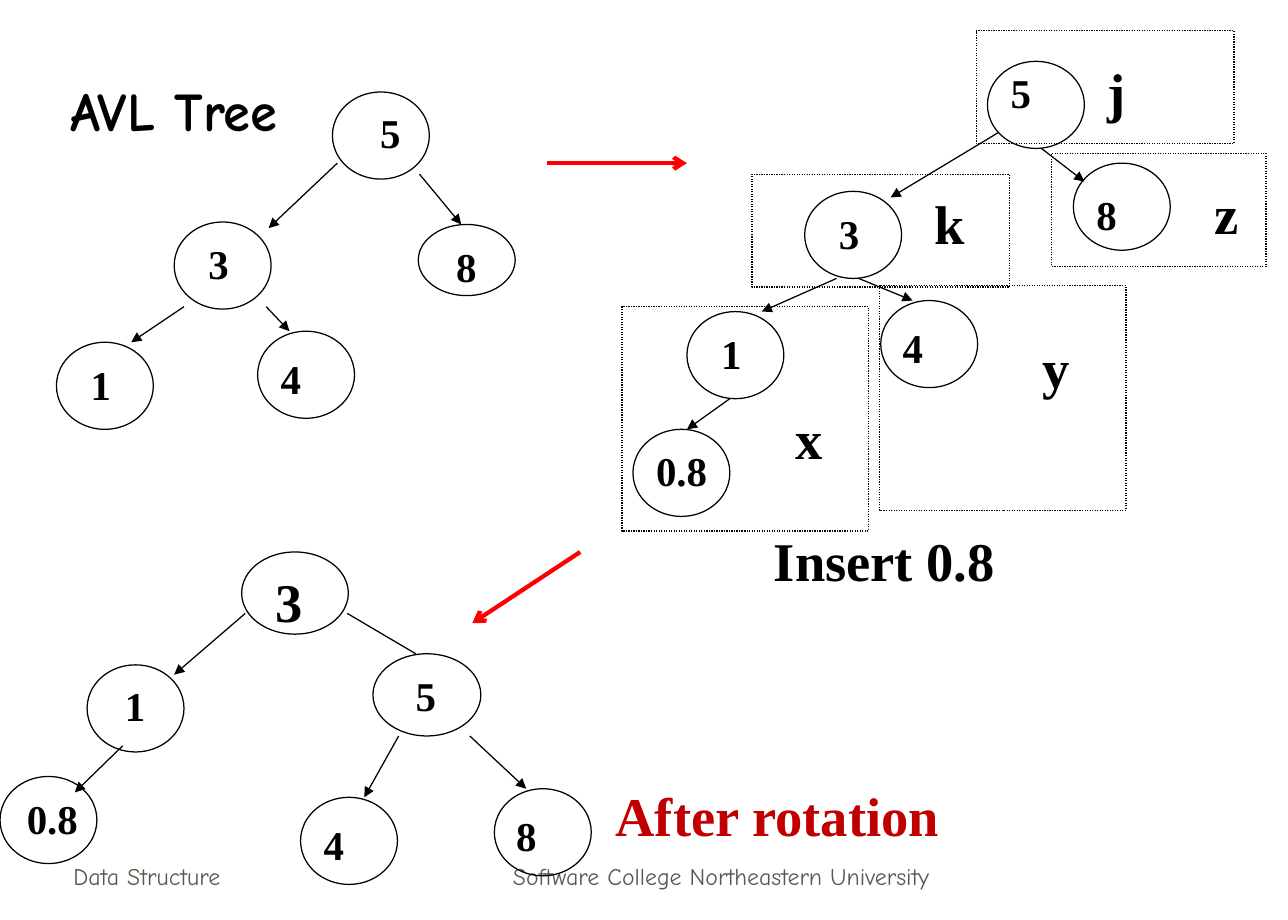
from dataclasses import dataclass

from lxml import etree
from pptx import Presentation
from pptx.dml.color import RGBColor
from pptx.enum.dml import MSO_LINE
from pptx.enum.shapes import MSO_CONNECTOR, MSO_SHAPE
from pptx.enum.text import MSO_ANCHOR, MSO_AUTO_SIZE, PP_ALIGN
from pptx.oxml.ns import qn
from pptx.util import Inches, Pt

ELLIPSE, RECTANGLE = MSO_SHAPE.OVAL, MSO_SHAPE.RECTANGLE
STRAIGHT = MSO_CONNECTOR.STRAIGHT
DOTTED = MSO_LINE.ROUND_DOT
LEFT, CENTER = PP_ALIGN.LEFT, PP_ALIGN.CENTER
TOP, BOTTOM = MSO_ANCHOR.TOP, MSO_ANCHOR.BOTTOM
GROW, FIXED = MSO_AUTO_SIZE.SHAPE_TO_FIT_TEXT, MSO_AUTO_SIZE.NONE


@dataclass(frozen=True)
class Theme:
    ink: str = "000000"
    muted: str = "5E574E"
    accent: str = "C00000"
    step: str = "FF0000"
    serif: str = "Times New Roman"
    casual: str = "Comic Neue"
    large: int = 32
    medium: int = 24
    small: int = 14
    thin: float = 0.75
    thick: float = 2.5


class TreeSlide:
    def __init__(self, deck, theme):
        self.theme = theme
        self.page = deck.slides.add_slide(deck.slide_layouts[6])

    def text(self, words, left, top, width, size, font=None, color=None, bold=True):
        """A one-line text that grows with its type."""
        height = 0.64 if size == self.theme.large else 0.5
        box = self.page.shapes.add_textbox(
            Inches(left), Inches(top), Inches(width), Inches(height))
        frame = box.text_frame
        frame.word_wrap = True
        frame.auto_size = GROW
        frame.vertical_anchor = TOP
        para = frame.paragraphs[0]
        para.text = words
        para.alignment = LEFT
        para.font.name = font or self.theme.serif
        para.font.size = Pt(size)
        para.font.bold = bold
        para.font.color.rgb = RGBColor.from_string(color or self.theme.ink)
        return frame

    def footer(self, words, left, width, alignment):
        frame = self.text(words, left, 6.81, width, self.theme.small,
                          self.theme.casual, self.theme.muted, bold=False)
        frame.auto_size = FIXED
        frame.vertical_anchor = BOTTOM
        frame.paragraphs[0].alignment = alignment

    def outline(self, kind, left, top, width, height):
        shape = self.page.shapes.add_shape(
            kind, Inches(left), Inches(top), Inches(width), Inches(height))
        shape.shadow.inherit = False
        shape.fill.background()
        shape.line.color.rgb = RGBColor.from_string(self.theme.ink)
        shape.line.width = Pt(self.theme.thin)
        return shape

    def node(self, label, left, top, label_left, label_top,
             width=0.79, height=0.71, size=None):
        self.outline(ELLIPSE, left, top, width, height)
        self.text(label, label_left, label_top, 1, size or self.theme.medium)

    def subtree(self, name, left, top, width, height, name_left, name_top):
        frame = self.outline(RECTANGLE, left, top, width, height)
        frame.line.dash_style = DOTTED
        self.text(name, name_left, name_top, 0.7, self.theme.large)

    def line(self, x1, y1, x2, y2, head="triangle", color=None, weight=None):
        link = self.page.shapes.add_connector(
            STRAIGHT, Inches(x1), Inches(y1), Inches(x2), Inches(y2))
        link.line.color.rgb = RGBColor.from_string(color or self.theme.ink)
        link.line.width = Pt(weight or self.theme.thin)
        if head:
            stroke = link.line._get_or_add_ln()
            etree.SubElement(stroke, qn("a:tailEnd"), type=head)
        etree.SubElement(link._element.spPr, qn("a:effectLst"))

    def step(self, x1, y1, x2, y2):
        self.line(x1, y1, x2, y2, "arrow", self.theme.step, self.theme.thick)


# Nodes: label, ellipse left and top, label left and top
START_NODES = [
    ("5", 2.71, 0.75, 3, 0.83),
    ("3", 1.42, 1.81, 1.6, 1.9),
    ("1", 0.46, 2.79, 0.64, 2.88),
    ("4", 2.1, 2.7, 2.19, 2.83),
    ("8", 3.41, 1.83, 3.62, 1.92, 0.79, 0.58),
]
INSERTED_NODES = [
    ("5", 8.05, 0.5, 8.14, 0.5),
    ("3", 6.56, 1.56, 6.74, 1.65),
    ("1", 5.6, 2.54, 5.78, 2.63),
    ("4", 7.18, 2.45, 7.26, 2.58),
    ("8", 8.75, 1.33, 8.84, 1.5),
    ("0.8", 5.16, 3.5, 5.25, 3.58),
]
ROTATED_NODES = [
    ("3", 1.97, 4.5, 2.15, 4.58, 0.87, 0.67, Theme.large),
    ("5", 3.04, 5.33, 3.29, 5.42, 0.88, 0.67),
    ("1", 0.71, 5.42, 0.92, 5.5),
    ("0.8", 0, 6.33, 0.12, 6.42),
    ("4", 2.45, 6.5, 2.54, 6.63),
    ("8", 4.03, 6.43, 4.11, 6.56),
]

# Edges: start x and y, end x and y
START_EDGES = [
    (2.75, 1.33, 2.19, 1.86),
    (3.42, 1.42, 3.76, 1.83),
    (1.5, 2.5, 1.07, 2.79),
    (2.17, 2.5, 2.36, 2.7),
]
INSERTED_EDGES = [
    (8.14, 1.08, 7.26, 1.61),
    (8.49, 1.21, 8.84, 1.48),
    (6.82, 2.27, 6.21, 2.54),
    (7, 2.27, 7.44, 2.45),
    (5.95, 3.25, 5.6, 3.5),
]
ROTATED_EDGES = [
    (2, 5, 1.42, 5.5),
    (2.83, 5, 3.39, 5.33, None),
    (1, 6.08, 0.61, 6.46),
    (3.25, 6, 2.97, 6.5),
    (3.83, 6, 4.29, 6.43),
]

# Subtrees: name, frame left, top, width and height, name left and top
SUBTREES = [
    ("j", 7.96, 0.25, 2.1, 0.92, 8.93, 0.42),
    ("k", 6.13, 1.42, 2.1, 0.92, 7.52, 1.5),
    ("x", 5.07, 2.5, 2.01, 1.83, 6.39, 3.25),
    ("y", 7.17, 2.33, 2.01, 1.83, 8.4, 2.67),
    ("z", 8.57, 1.25, 1.75, 0.92, 9.8, 1.42),
]


def main():
    deck = Presentation()
    deck.slide_width, deck.slide_height = Inches(10.5), Inches(7.5)
    theme = Theme()
    slide = TreeSlide(deck, theme)

    # Footer
    slide.footer("Data Structure", 0.5, 2.19, LEFT)
    slide.footer("Software College Northeastern University", 3.59, 4.58, CENTER)

    # Title and captions
    slide.text("AVL Tree", 0.48, 0.58, 4.16, theme.large, theme.casual)
    slide.text("Insert 0.8", 6.21, 4.25, 4.29, theme.large)
    slide.text("After rotation", 4.92, 6.33, 4.01, theme.large, color=theme.accent)

    # The three trees
    for node in START_NODES + INSERTED_NODES + ROTATED_NODES:
        slide.node(*node)
    for edge in START_EDGES + INSERTED_EDGES + ROTATED_EDGES:
        slide.line(*edge)

    # Named subtrees of the middle tree
    for subtree in SUBTREES:
        slide.subtree(*subtree)

    # Steps from tree to tree
    slide.step(4.46, 1.33, 5.6, 1.33)
    slide.step(4.73, 4.5, 3.85, 5.08)

    deck.save("out.pptx")


if __name__ == "__main__":
    main()
